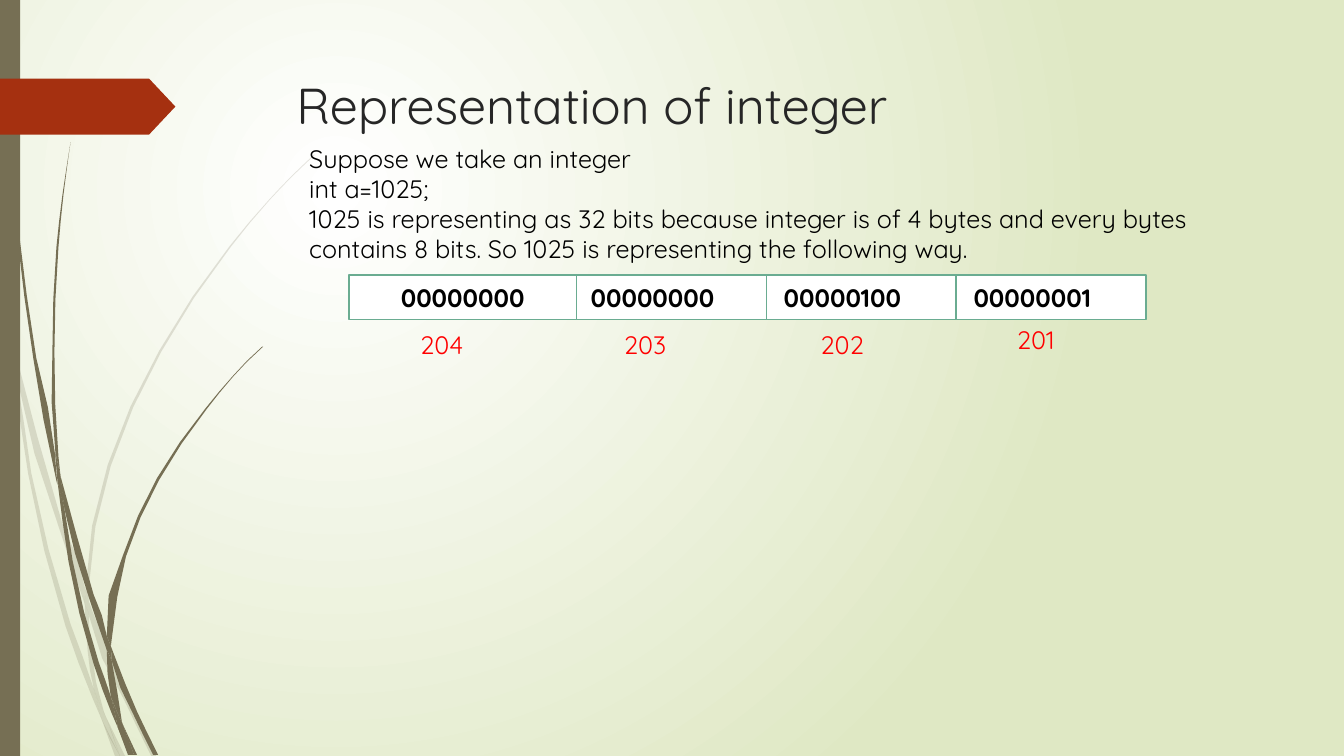
from dataclasses import dataclass

import pptx
import pptx.dml.color
import pptx.enum.shapes
import pptx.enum.text
import pptx.oxml
import pptx.oxml.ns
import pptx.util

Pt = pptx.util.Pt
ShapeKind = pptx.enum.shapes.MSO_SHAPE
Anchor = pptx.enum.text.MSO_ANCHOR
Align = pptx.enum.text.PP_ALIGN

COLORS = {
    "glow": "FFFFFF", "meadow": "DFE8C4", "grass": "766F54", "arrow": "A53010",
    "title": "262626", "text": "000000", "address": "FF0000",
    "cell": "FFFFFF", "border": "6AAC91",
}
FONT = "Quicksand"
GRID = 0.72  # points per step of the grass outlines
LONG_SIDE = 25  # longer sides of an outline are bent at their middle

# Corners and curve points of each blade section, in grid steps
PALE_GRASS = [
    "11,350 9,322 0,282 0,299 10,344",
    "58,522 84,599 85,586 62,520 14,345 17,376",
    "92,607 88,596 88,610 123,694 150,750 155,750 127,692",
    "119,750 124,750 105,711",
    "93,683 70,619 31,469 17,376 11,350 28,470 65,621 92,693 101,714 99,707",
    "84,599 87,646 93,683 96,692 105,711 103,706 91,646 88,610 88,608",
    "88,584 110,462 160,349 229,245 268,198 290,175 312,154 312,153 289,175 "
    "268,197 228,244 158,348 107,461 85,584 85,586 88,596",
    "101,714 114,750 119,750",
    "88,608 88,610 88,596 85,586 84,599",
    "96,692 93,683 99,707 101,714 119,750 105,711",
]
DARK_GRASS = [
    "7,110 17,233 33,355 56,477 57,481 55,457 55,453 36,355 19,232 8,109 5,48 "
    "4,0 3,0 4,48",
    "88,592 106,645 106,633 106,631 93,590 60,472 64,505",
    "113,649 110,641 111,656 132,708 152,749 157,749 136,706",
    "110,691 98,657 72,556 64,505 57,477 68,557 93,659 111,708 117,722 116,717",
    "60,472 58,453 54,349 58,245 63,193 70,141 62,193 56,245 52,349 55,449",
    "133,749 136,749 122,719",
    "57,477 64,505 60,472 55,449 55,453",
    "111,633 125,552 158,476 205,406 231,374 245,359 261,344 260,344 245,358 "
    "231,373 204,405 156,474 122,551 106,631 110,641",
    "117,722 127,749 131,749",
    "106,645 110,691 116,706 122,719 121,716 111,656 109,651",
    "106,645 109,651 111,656 110,641 106,631 106,633",
    "116,706 110,691 116,717 117,722 130,749 133,749 122,719",
]


@dataclass(frozen=True)
class ByteCell:
    bits: str
    address: str
    address_left: float
    address_top: float = 231.8


BYTE_CELLS = [
    ByteCell("00000000", "204", 293),
    ByteCell("00000000", "203", 438.5),
    ByteCell("00000100", "202", 578.9),
    ByteCell("00000001", "201", 719.3, 228.2),
]
CELL_LEFT, CELL_TOP, CELL_PITCH = 249.1, 196.6, 135.6
CELL_WIDTH, CELL_HEIGHT = 162.8, 31.7


def rgb(name: str) -> pptx.dml.color.RGBColor:
    return pptx.dml.color.RGBColor.from_string(COLORS[name])


def set_values(target, values: dict) -> None:
    for name, value in values.items():
        setattr(target, name, value)


def write(shape, text: str, color: str, size: float = 18, bold: bool = False,
          align=Align.LEFT, anchor=Anchor.TOP) -> None:
    frame = shape.text_frame
    set_values(frame, {"word_wrap": True, "vertical_anchor": anchor})
    frame.text = text
    for para in frame.paragraphs:
        para.alignment = align
        for span in para.runs:
            set_values(span.font, {"name": FONT, "size": Pt(size), "bold": bold})
            span.font.color.rgb = rgb(color)


def add_text(page, text: str, place: tuple, color: str) -> None:
    box = page.shapes.add_textbox(*map(Pt, place))
    write(box, text, color)


def paint(shape, color: str) -> None:
    shape.shadow.inherit = False
    shape.fill.solid()
    shape.fill.fore_color.rgb = rgb(color)
    shape.line.fill.background()


def add_block(page, kind, place: tuple, color: str):
    block = page.shapes.add_shape(kind, *map(Pt, place))
    paint(block, color)
    return block


def smooth_outline(corners: list[complex]) -> list[complex]:
    """Bend the long sides of a closed outline and keep its sharp corners."""
    count = len(corners)
    sides = [corners[(i + 1) % count] - corners[i] for i in range(count)]

    def tangent(corner: int, side: complex) -> complex:
        before, after = sides[corner - 1], sides[corner]
        turn = (before * after.conjugate()).real / abs(before) / abs(after)
        if turn < 0.8:
            return side
        blend = before / abs(before) * abs(after) + after / abs(after) * abs(before)
        return blend / abs(blend) * abs(side)

    outline = []
    for i, side in enumerate(sides):
        outline.append(corners[i])
        if abs(side) > LONG_SIDE:
            bend = tangent(i, side) - tangent((i + 1) % count, side)
            outline.append(corners[i] + side / 2 + bend / 8)
    return outline


def add_blade(page, corners: str, opacity: int) -> None:
    pairs = [corner.split(",") for corner in corners.split()]
    outline = smooth_outline([complex(int(x), int(y)) for x, y in pairs])
    points = [(Pt(p.real * GRID), Pt(p.imag * GRID)) for p in outline]
    builder = page.shapes.build_freeform(*points[0])
    builder.add_line_segments(points[1:], close=True)
    blade = builder.convert_to_shape()
    paint(blade, "grass")
    if opacity < 100:
        fill_color = blade.element.spPr.find(".//" + pptx.oxml.ns.qn("a:srgbClr"))
        alpha = fill_color.makeelement(pptx.oxml.ns.qn("a:alpha"),
                                       {"val": str(opacity * 1000)})
        fill_color.append(alpha)


def fill_background(page) -> None:
    fill = page.background.fill
    fill.gradient()
    for stop, color in zip(fill.gradient_stops, ("glow", "meadow")):
        stop.color.rgb = rgb(color)
    gradient = page.element.find(".//" + pptx.oxml.ns.qn("a:gradFill"))
    linear = gradient.find(pptx.oxml.ns.qn("a:lin"))
    circle = pptx.oxml.parse_xml(
        f'<a:path {pptx.oxml.ns.nsdecls("a")} path="circle">'
        '<a:fillToRect l="50000" t="50000" r="100000" b="100000"/></a:path>')
    gradient.replace(linear, circle)


def add_byte_cells(page) -> None:
    for index, cell in reversed(list(enumerate(BYTE_CELLS))):
        left = CELL_LEFT + index * CELL_PITCH
        block = add_block(page, ShapeKind.RECTANGLE,
                          (left, CELL_TOP, CELL_WIDTH, CELL_HEIGHT), "cell")
        block.line.color.rgb = rgb("border")
        block.line.width = Pt(1.25)
        write(block, cell.bits, "text", bold=True, align=Align.CENTER,
              anchor=Anchor.MIDDLE)
        add_text(page, cell.address,
                 (cell.address_left, cell.address_top, 72.7, 28.8), "address")


def main() -> None:
    deck = pptx.Presentation()
    set_values(deck, {"slide_width": Pt(960), "slide_height": Pt(540)})
    page = deck.slides.add_slide(deck.slide_layouts[5])
    fill_background(page)
    for blades, opacity in ((PALE_GRASS, 20), (DARK_GRASS, 100)):
        for corners in blades:
            add_blade(page, corners, opacity)
    add_block(page, ShapeKind.RECTANGLE, (0, 0, 14.4, 540), "grass")
    arrow = add_block(page, ShapeKind.PENTAGON, (0, 56.2, 125.3, 39.9), "arrow")
    arrow.adjustments[0] = 0.47

    title = page.shapes.title
    set_values(title, {"left": Pt(204.5), "top": Pt(49), "width": Pt(702),
                       "height": Pt(100.8)})
    write(title, "Representation of integer", "title", size=36)
    title.text_frame.auto_size = pptx.enum.text.MSO_AUTO_SIZE.NONE

    explanation = "\v".join([
        "Suppose we take an integer",
        "int a=1025;",
        "1025 is representing as 32 bits because integer is of 4 bytes and every "
        "bytes contains 8 bits. So 1025 is representing the following way.",
    ])
    add_text(page, explanation, (213.8, 98.6, 682.6, 94.3), "text")
    add_byte_cells(page)
    deck.save("out.pptx")


if __name__ == "__main__":
    main()
